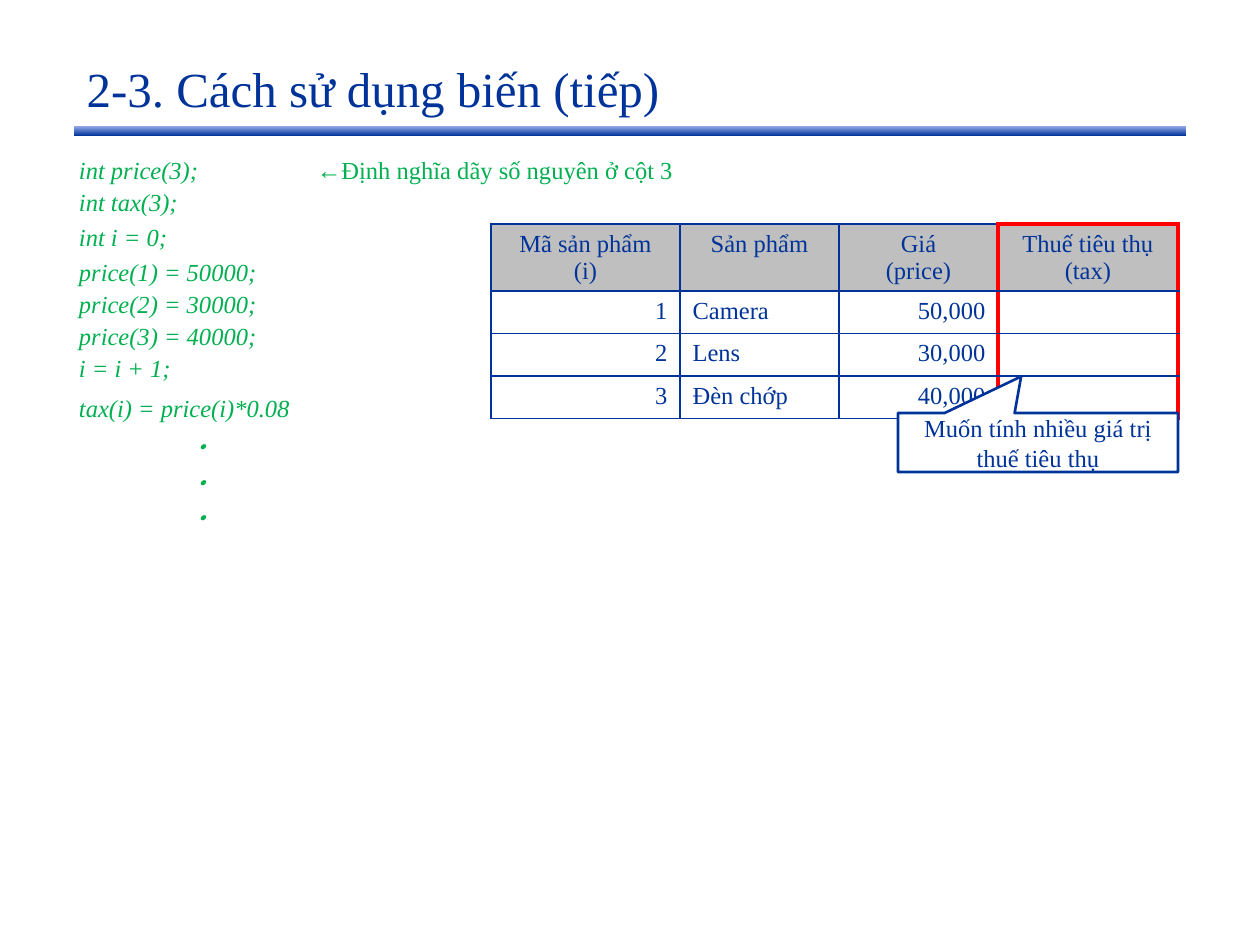
from dataclasses import dataclass

from lxml import etree
from pptx import Presentation
from pptx.dml.color import RGBColor
from pptx.enum.shapes import MSO_SHAPE
from pptx.enum.text import MSO_ANCHOR, PP_ALIGN
from pptx.oxml.ns import qn
from pptx.util import Emu, Pt

LEFT, CENTER, RIGHT = PP_ALIGN.LEFT, PP_ALIGN.CENTER, PP_ALIGN.RIGHT
MIDDLE, BOTTOM = MSO_ANCHOR.MIDDLE, MSO_ANCHOR.BOTTOM
RECTANGLE, CALLOUT = MSO_SHAPE.RECTANGLE, MSO_SHAPE.RECTANGULAR_CALLOUT
PX = 914400 / 126
PLAIN_TABLE = "{2D5ABB26-0587-4C30-8999-92F81FD0307C}"


@dataclass(frozen=True)
class Theme:
    font: str = "Times New Roman"
    navy: str = "003399"
    light_blue: str = "98ADEB"
    green: str = "00B050"
    red: str = "FF0000"
    gray: str = "BFBFBF"
    white: str = "FFFFFF"
    title_size: int = 28
    body_size: int = 14
    thin: float = 1
    thick: float = 2.25
    callout_line: float = 1.5


THEME = Theme()

TITLE = "2-3. Cách sử dụng biến (tiếp)"
CALLOUT_TEXT = "Muốn tính nhiều giá trị thuế tiêu thụ"
ARRAY_NOTE = "←Định nghĩa dãy số nguyên ở cột 3"

PRODUCTS = [
    ["Mã sản phẩm\n(i)", "Sản phẩm", "Giá\n(price)", "Thuế tiêu thụ (tax)"],
    ["1", "Camera", "50,000", ""],
    ["2", "Lens", "30,000", ""],
    ["3", "Đèn chớp", "40,000", ""],
]
PRODUCT_ALIGNS = [RIGHT, LEFT, RIGHT, LEFT]
PRODUCT_COLUMNS = [189, 159, 159, 180]
PRODUCT_ROWS = [67, 40, 40, 40]

CODE_LINES = [
    ("int price(3);", 32, (1, 2)),
    ("int tax(3);", 35, (1, 2)),
    ("int i = 0;", 35, (1, 2)),
    ("price(1) = 50000;", 32, (0, 2)),
    ("price(2) = 30000;", 32, (0, 2)),
    ("price(3) = 40000;", 32, (0, 2)),
    ("i = i + 1;", 40, (0, 1)),
    ("tax(i) = price(i)*0.08", 32, (0, 2)),
    ("・\n・\n・", 123, (0, 1)),
]
CODE_COLUMNS = [238, 16, 381]


def px(value):
    return Emu(round(value * PX))


def box(*values):
    return [px(value) for value in values]


def rgb(color):
    return RGBColor.from_string(color)


def write(text_frame, text, color, size=THEME.body_size, align=LEFT, italic=False):
    text_frame.text = text
    for paragraph in text_frame.paragraphs:
        paragraph.alignment = align
        if not paragraph.runs:
            paragraph._p.get_or_add_endParaRPr().set("sz", str(size * 100))
        for run in paragraph.runs:
            run.font.name = THEME.font
            run.font.size = Pt(size)
            run.font.italic = italic
            run.font.color.rgb = rgb(color)


def add_plain_table(slide, left, top, columns, rows):
    frame = slide.shapes.add_table(
        len(rows), len(columns), *box(left, top, sum(columns), sum(rows))
    )
    table = frame.table
    table.first_row = table.horz_banding = False
    table._tbl.tblPr.find(qn("a:tableStyleId")).text = PLAIN_TABLE
    for column, width in zip(table.columns, columns):
        column.width = px(width)
    for row, height in zip(table.rows, rows):
        row.height = px(height)
    return table


def set_borders(cell, red_sides):
    properties = cell._tc.get_or_add_tcPr()
    for side in "LRTB":
        is_red = side in red_sides
        width = Pt(THEME.thick if is_red else THEME.thin)
        line = etree.SubElement(properties, qn(f"a:ln{side}"), w=str(width))
        fill = etree.SubElement(line, qn("a:solidFill"))
        color = THEME.red if is_red else THEME.navy
        etree.SubElement(fill, qn("a:srgbClr"), val=color)


def add_title(slide):
    title = slide.shapes.title
    title.left, title.top, title.width, title.height = box(74, 55, 1102, 69)
    title.text_frame.vertical_anchor = BOTTOM
    write(title.text_frame, TITLE, THEME.navy, THEME.title_size)

    bar = slide.shapes.add_shape(RECTANGLE, *box(74, 126, 1112, 10))
    bar.shadow.inherit = False
    bar.line.fill.background()
    bar.fill.gradient()
    bar.fill.gradient_angle = 270
    for stop, color in zip(bar.fill.gradient_stops, (THEME.light_blue, THEME.navy)):
        stop.color.rgb = rgb(color)


def add_products(slide):
    table = add_plain_table(slide, 491, 224, PRODUCT_COLUMNS, PRODUCT_ROWS)
    last_row, tax_column = len(PRODUCT_ROWS) - 1, len(PRODUCT_COLUMNS) - 1
    for row, texts in enumerate(PRODUCTS):
        for column, text in enumerate(texts):
            cell = table.cell(row, column)
            align = PRODUCT_ALIGNS[column] if row else CENTER
            write(cell.text_frame, text, THEME.navy, align=align)
            red_sides = "R" if column == tax_column - 1 else ""
            if column == tax_column:
                red_sides = {0: "LRT", last_row: "LRB"}.get(row, "LR")
            set_borders(cell, red_sides)
            cell.fill.solid()
            cell.fill.fore_color.rgb = rgb(THEME.white if row else THEME.gray)


def add_code(slide):
    heights = [height for _, height, _ in CODE_LINES]
    table = add_plain_table(slide, 74, 156, CODE_COLUMNS, heights)
    for row, (text, _, (first, last)) in enumerate(CODE_LINES):
        note = "" if row else ARRAY_NOTE
        align = CENTER if "\n" in text else LEFT
        for column, content in enumerate((text, note, "")):
            cell = table.cell(row, column)
            cell.margin_left, cell.margin_right = box(5, 13)
            cell.margin_top = cell.margin_bottom = px(2)
            write(cell.text_frame, content, THEME.green, align=align, italic=column == 0)
        table.cell(row, first).merge(table.cell(row, last))


def add_callout(slide):
    callout = slide.shapes.add_shape(CALLOUT, *box(898, 413, 280, 59))
    callout.adjustments[0] = -0.06
    callout.adjustments[1] = -1.12
    callout.shadow.inherit = False
    callout.fill.solid()
    callout.fill.fore_color.rgb = rgb(THEME.white)
    callout.line.color.rgb = rgb(THEME.navy)
    callout.line.width = Pt(THEME.callout_line)
    callout.text_frame.word_wrap = True
    callout.text_frame.vertical_anchor = MIDDLE
    write(callout.text_frame, CALLOUT_TEXT, THEME.navy, align=CENTER)


def main():
    presentation = Presentation()
    presentation.slide_width, presentation.slide_height = box(1260, 945)
    slide = presentation.slides.add_slide(presentation.slide_layouts[5])
    add_title(slide)
    add_products(slide)
    add_code(slide)
    add_callout(slide)
    presentation.save("out.pptx")


if __name__ == "__main__":
    main()
